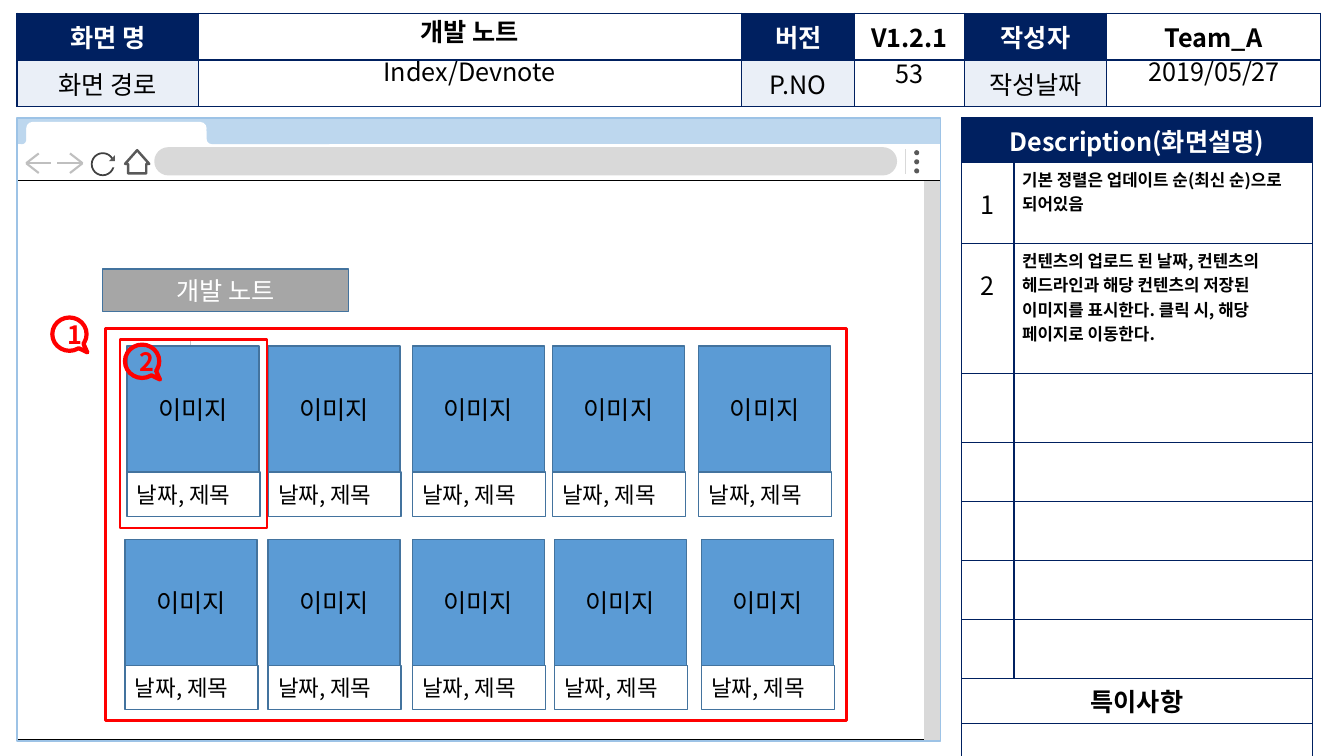
from lxml import etree
from pptx import Presentation
from pptx.dml.color import RGBColor
from pptx.enum.shapes import MSO_CONNECTOR, MSO_SHAPE
from pptx.enum.text import MSO_ANCHOR, PP_ALIGN
from pptx.oxml import parse_xml
from pptx.oxml.ns import nsdecls, qn
from pptx.util import Pt

RECT = MSO_SHAPE.RECTANGLE
ROUND = MSO_SHAPE.ROUNDED_RECTANGLE
OVAL = MSO_SHAPE.OVAL
TRIANGLE = MSO_SHAPE.ISOSCELES_TRIANGLE
DOWN_ARROW = MSO_SHAPE.DOWN_ARROW
CALLOUT = MSO_SHAPE.OVAL_CALLOUT
STRAIGHT = MSO_CONNECTOR.STRAIGHT
LEFT, CENTER = PP_ALIGN.LEFT, PP_ALIGN.CENTER
MIDDLE = MSO_ANCHOR.MIDDLE

FONT = "Noto Sans CJK KR"
COLORS = {
    "navy": "002060", "pale": "EAEFF7", "white": "FFFFFF", "black": "000000",
    "red": "FF0000", "card": "5B9BD5", "card_line": "43739E", "button": "A6A6A6",
    "tab_bar": "BDD7EE", "frame": "9DC3E6", "field": "D9D9D9", "arrow": "BFBFBF",
    "icon": "595959", "reload": "404040",
}

presentation = Presentation()
presentation.slide_width, presentation.slide_height = Pt(960), Pt(540)
slide = presentation.slides.add_slide(presentation.slide_layouts[6])


def add_box(kind, left, top, width, height, fill=None, line=None, weight=1, adjust=()):
    shape = slide.shapes.add_shape(kind, Pt(left), Pt(top), Pt(width), Pt(height))
    shape.shadow.inherit = False
    for index, value in enumerate(adjust):
        shape.adjustments[index] = value
    if fill:
        shape.fill.solid()
        shape.fill.fore_color.rgb = RGBColor.from_string(COLORS[fill])
    else:
        shape.fill.background()
    if line:
        shape.line.color.rgb = RGBColor.from_string(COLORS[line])
        shape.line.width = Pt(weight)
    else:
        shape.line.fill.background()
    return shape


def write(text_frame, text, size=18, color="black", bold=False, align=CENTER):
    text_frame.text = text
    text_frame.word_wrap = True
    paragraph = text_frame.paragraphs[0]
    paragraph.alignment = align
    font = paragraph.runs[0].font
    font.name, font.size, font.bold = FONT, Pt(size), bold
    font.color.rgb = RGBColor.from_string(COLORS[color])
    properties = paragraph.runs[0]._r.get_or_add_rPr()
    etree.SubElement(properties, qn("a:ea")).set("typeface", FONT)
    return paragraph


# Browser window
browser_parts = [
    (RECT, 11.5, 128.2, 659.5, 400.3, "white", "black", 0.5),
    (RECT, 660.2, 128.9, 11.5, 399.6, "field"),
    (RECT, 12.2, 102.2, 659.5, 26.6, "white", "black", 0.5),
    (ROUND, 110.2, 105.1, 530.6, 20.2, "field", None, 1, (0.5,)),
    *[(OVAL, 653, top, 3.6, 3.6, "icon") for top in (107.3, 113.8, 120.3)],
    (RECT, 12.2, 84.2, 659.5, 18.7, "tab_bar"),
    (OVAL, 65.5, 109.4, 15.8, 15.8, None, "reload", 1.25),
    (RECT, 78.5, 113.8, 5.8, 5.8, "white"),
    (TRIANGLE, 77.8, 110.9, 4.3, 4.3, "icon", None, 1, (1,)),
    (DOWN_ARROW, 89.3, 107.3, 17.3, 16.6, "white", "icon", 1.75, (0.75, 0.586)),
    (ROUND, 18.7, 87.1, 128.9, 16.6, "white", None, 1, (0.276,)),
    (ROUND, 135.4, 93.6, 24.5, 10.8, "white", None, 1, (0.167,)),
    (ROUND, 147.6, 88.6, 91.4, 14.4, "tab_bar", None, 1, (0.276,)),
    (ROUND, 15.1, 93.6, 9.4, 10.8, "white", None, 1, (0.167,)),
    (ROUND, 12.2, 88.6, 6.5, 14.4, "tab_bar", None, 1, (0.462,)),
    (RECT, 12.2, 84.2, 659.5, 445, None, "frame", 1),
]
for part in browser_parts:
    shape = add_box(*part)
    if part[0] == DOWN_ARROW:
        shape.rotation = 180

# Separator, faint guide line, then back and forward arrows
lines = [
    (646.6, 106.6, 646.6, 124.6, "field", 1),
    (136.1, 242.6, 136.1, 266.4, "black", 0.5),
]
for tip, direction in ((18.7, 1), (59, -1)):
    for reach, rise in ((18, 0), (9, -7), (9, 7)):
        lines.append((tip, 116.6, tip + direction * reach, 116.6 + rise, "arrow", 1.5))
for x1, y1, x2, y2, color, weight in lines:
    connector = slide.shapes.add_connector(STRAIGHT, Pt(x1), Pt(y1), Pt(x2), Pt(y2))
    connector.line.color.rgb = RGBColor.from_string(COLORS[color])
    connector.line.width = Pt(weight)
    properties = connector._element.spPr
    etree.SubElement(properties, qn("a:effectLst"))
    if color == "black":
        tint = properties.find(".//" + qn("a:srgbClr"))
        etree.SubElement(tint, qn("a:alpha")).set("val", "22000")

# Tables
header_shape = slide.shapes.add_table(2, 6, Pt(12.2), Pt(9.4), Pt(931.7), Pt(66.8))
description_shape = slide.shapes.add_table(10, 2, Pt(686.9), Pt(84.2), Pt(250.6), Pt(479.3))
header, description = header_shape.table, description_shape.table
sizes = [
    (header, [129.6, 388.1, 80.6, 78.5, 101.5, 152.6], [33.4] * 2),
    (description, [37.4, 213.1],
     [32.1, 57.9, 92.9, 49.3, 42.1, 42.1, 42.1, 42.1, 32.1, 44]),
]
for row in (0, 8, 9):
    description.cell(row, 0).merge(description.cell(row, 1))
for table, widths, heights in sizes:
    table.first_row = table.horz_banding = False
    for column, width in zip(table.columns, widths):
        column.width = Pt(width)
    for row, height in zip(table.rows, heights):
        row.height = Pt(height)
    for cell in table.iter_cells():
        cell.fill.background()
        if table is description:
            cell.margin_left = cell.margin_right = Pt(5.8)
            cell.margin_top = cell.margin_bottom = Pt(2.9)
        for index, side in enumerate(("lnL", "lnR", "lnT", "lnB")):
            border = parse_xml(
                f'<a:{side} {nsdecls("a")} w="12700"><a:solidFill>'
                f'<a:srgbClr val="{COLORS["navy"]}"/></a:solidFill></a:{side}>')
            cell._tc.get_or_add_tcPr().insert(index, border)

header_rows = [
    ["화면 명", "", "버전", "V1.2.1", "작성자", "Team_A"],
    ["화면 경로", "", "P.NO", "", "작성날짜", ""],
]
for row, texts in enumerate(header_rows):
    for column, text in enumerate(texts):
        cell = header.cell(row, column)
        is_label = column % 2 == 0
        fill = ("navy", "pale")[row] if is_label else "white"
        cell.fill.solid()
        cell.fill.fore_color.rgb = RGBColor.from_string(COLORS[fill])
        if text:
            color = "white" if fill == "navy" else "black"
            write(cell.text_frame, text, color=color, bold=row == 0)

title_cell = description.cell(0, 0)
title_cell.fill.solid()
title_cell.fill.fore_color.rgb = RGBColor.from_string(COLORS["navy"])
write(title_cell.text_frame, "Description(화면설명)", color="white", bold=True)
notes = [
    "기본 정렬은 업데이트 순(최신 순)으로 되어있음",
    "컨텐츠의 업로드 된 날짜, 컨텐츠의 헤드라인과 해당 컨텐츠의 저장된 이미지를 "
    "표시한다. 클릭 시, 해당 페이지로 이동한다.",
]
for number, note in enumerate(notes, 1):
    write(description.cell(number, 0).text_frame, str(number)).line_spacing = 1.5
    write(description.cell(number, 1).text_frame, note, 12, bold=True, align=LEFT)
write(description.cell(8, 0).text_frame, "특이사항", bold=True)

# Values over the header table
header_values = [
    ("개발 노트", 141.8, 10.1, 387.4, True, 0.9),
    ("Index/Devnote", 141.8, 38.9, 387.4, False, 0.9),
    ("2019/05/27", 791.3, 38.9, 151.9, False, 0.9),
    ("53", 610.6, 38.9, 77.8, False, 1),
]
for text, left, top, width, bold, spacing in header_values:
    text_frame = slide.shapes.add_textbox(Pt(left), Pt(top), Pt(width), Pt(27.4)).text_frame
    text_frame.vertical_anchor = MIDDLE
    write(text_frame, text, bold=bold).line_spacing = spacing

# Page content
button = add_box(RECT, 73.4, 192.2, 175.7, 30.2, "button", "card_line")
write(button.text_frame, "개발 노트", color="white")

card_rows = [
    (247.3, [90.7, 191.5, 294.5, 394.6, 499]),
    (385.2, [89.3, 191.5, 294.5, 396, 501.1]),
]
for top, lefts in card_rows:
    for left in lefts:
        image = add_box(RECT, left, top, 94.3, 90.7, "card", "card_line")
        write(image.text_frame, "이미지")
        caption = add_box(RECT, left, top + 90, 95, 31.7, "white", "card_line")
        write(caption.text_frame, "날짜, 제목", 16, align=LEFT)

# Red markers
add_box(RECT, 75.6, 234.7, 529.2, 280.1, None, "red", 2)
for number, left, top in (("1", 37.4, 226.8), ("2", 89.3, 246.2)):
    marker = add_box(CALLOUT, left, top, 24.5, 23.8, None, "red", 3, (0.523, 0.547))
    write(marker.text_frame, number, color="red", bold=True)
add_box(RECT, 85.7, 242.6, 105.1, 134.6, None, "red", 2)

presentation.save("out.pptx")
